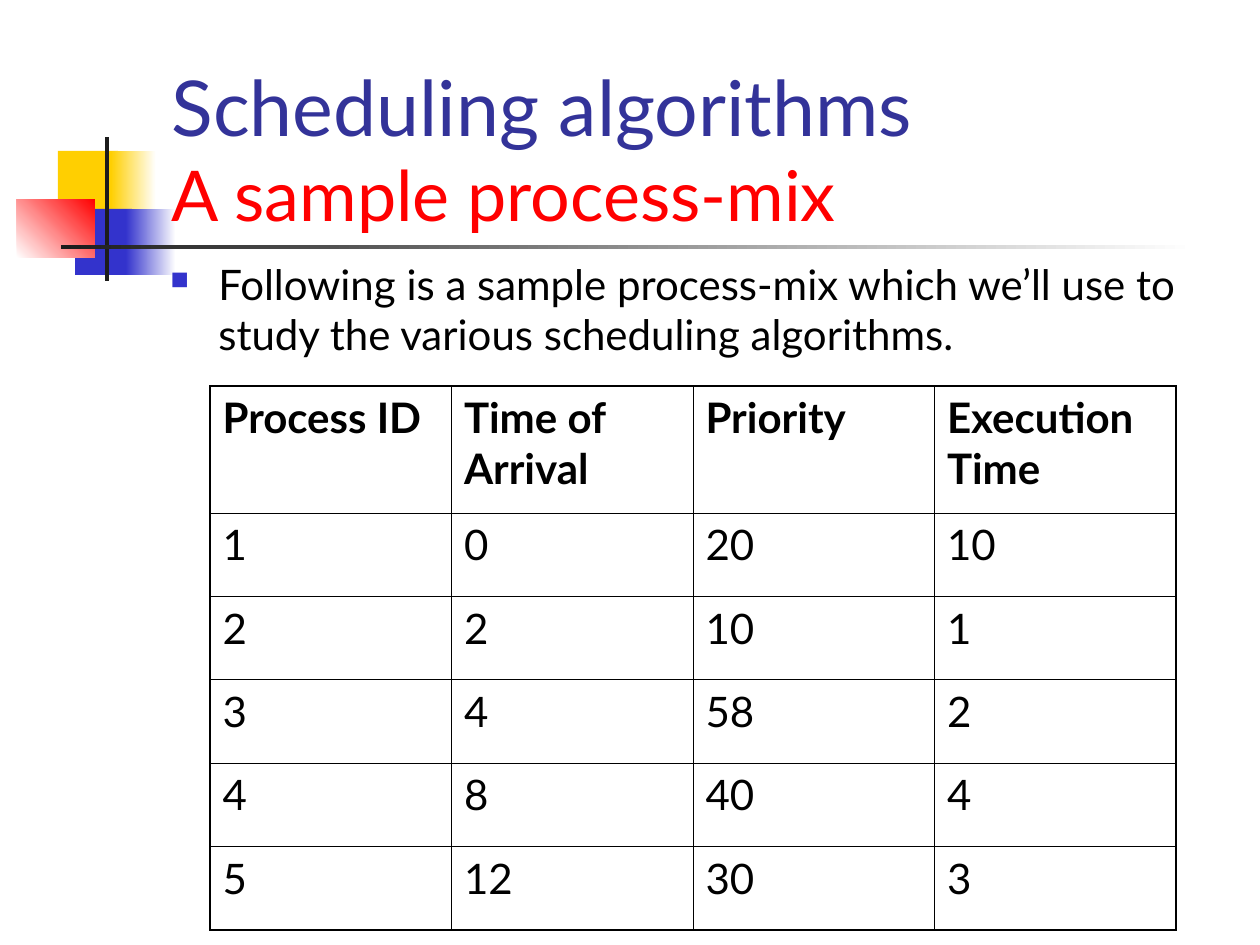
"""Builds the slide on scheduling algorithms with its sample process table."""
import lxml.etree
import pptx
import pptx.dml.color
import pptx.enum.shapes
import pptx.enum.text
import pptx.oxml
import pptx.oxml.ns
import pptx.util

COLORS = {
    "white": "FFFFFF", "black": "000000", "ink": "1C1C1C", "yellow": "FFCF01",
    "blue": "3333CC", "title": "333399", "red": "FF0000",
}
TITLE = [("Scheduling algorithms", 44, "title"), ("A sample process-mix", 40, "red")]
BODY = ("Following is a sample process-mix which we’ll use to "
        "study the various scheduling algorithms.")
BLOCKS = [
    (58, 151, 60, 66, ["yellow"], 0),
    (111, 151, 45, 66, ["yellow", "white"], 0),
    (75, 209, 57, 66, ["blue"], 0),
    (126, 209, 50, 66, ["blue", "white"], 0),
    (17, 199, 78, 59, ["white", "red"], 45),
    (105, 137, 4, 144, ["ink"], 0),
    (61, 245, 1134, 4, ["ink", "white"], 0),
]
PROCESSES = [
    ["Process ID", "Time of Arrival", "Priority", "Execution Time"],
    [1, 0, 20, 10],
    [2, 2, 10, 1],
    [3, 4, 58, 2],
    [4, 8, 40, 4],
    [5, 12, 30, 3],
]


def px(n):
    return round(n * 914400 / 126)


def rgb(name):
    return pptx.dml.color.RGBColor.from_string(COLORS[name])


class SlideBuilder:
    font = "Lato"
    size = 24
    thin, thick = 0.45, 1.08

    def __init__(self, prs):
        self.s = prs.slides.add_slide(prs.slide_layouts[5])

    def style(self, r, size, color, bold=False):
        r.font.name = self.font
        r.font.size = pptx.util.Pt(size)
        r.font.bold = bold
        r.font.color.rgb = rgb(color)

    def block(self, x, y, w, h, colors, angle):
        sp = self.s.shapes.add_shape(
            pptx.enum.shapes.MSO_SHAPE.RECTANGLE, px(x), px(y), px(w), px(h))
        sp.shadow.inherit = False
        sp.line.fill.background()
        if len(colors) == 1:
            sp.fill.solid()
            sp.fill.fore_color.rgb = rgb(colors[0])
            return
        sp.fill.gradient()
        sp.fill.gradient_angle = angle
        for stop, color, position in zip(sp.fill.gradient_stops, colors, (0, 1)):
            stop.color.rgb = rgb(color)
            stop.position = position

    def title(self, x, y, w, h, lines):
        sp = self.s.shapes.title
        self.s.shapes._spTree.append(sp._element)
        sp.left, sp.top, sp.width, sp.height = px(x), px(y), px(w), px(h)
        tf = sp.text_frame
        tf.text = "\v".join(text for text, _, _ in lines)
        tf.auto_size = pptx.enum.text.MSO_AUTO_SIZE.NONE
        tf.vertical_anchor = pptx.enum.text.MSO_ANCHOR.BOTTOM
        p = tf.paragraphs[0]
        p.alignment = pptx.enum.text.PP_ALIGN.LEFT
        for r, (_, size, color) in zip(p.runs, lines):
            self.style(r, size, color)

    def bullet(self, x, y, w, h, text, indent):
        tf = self.s.shapes.add_textbox(px(x), px(y), px(w), px(h)).text_frame
        tf.word_wrap = True
        tf.text = text
        p = tf.paragraphs[0]
        p.space_before = pptx.util.Pt(6)
        self.style(p.runs[0], self.size, "black")
        pPr = p._p.get_or_add_pPr()
        pPr.set("marL", str(px(indent)))
        pPr.set("indent", str(-px(indent)))
        ns = pptx.oxml.ns.nsdecls("a")
        for xml in (f'<a:buClr {ns}><a:srgbClr val="{COLORS["blue"]}"/></a:buClr>',
                    f'<a:buSzPct {ns} val="60000"/>',
                    f'<a:buChar {ns} char="■"/>'):
            pPr.append(pptx.oxml.parse_xml(xml))

    def borders(self, cell, widths):
        tcPr = cell._tc.get_or_add_tcPr()
        for i, (side, width) in enumerate(zip("LRTB", widths)):
            tcPr.insert(i, pptx.oxml.parse_xml(
                f'<a:ln{side} {pptx.oxml.ns.nsdecls("a")} w="{pptx.util.Pt(width)}">'
                f'<a:solidFill><a:srgbClr val="{COLORS["black"]}"/></a:solidFill>'
                f'</a:ln{side}>'))

    def table(self, x, y, w, h, header, rows):
        n_rows, n_cols = len(rows), len(rows[0])
        tbl = self.s.shapes.add_table(n_rows, n_cols, px(x), px(y), px(w), px(h)).table
        tbl.first_row = tbl.horz_banding = False
        for i, row in enumerate(rows):
            tbl.rows[i].height = px((h - header) / (n_rows - 1) if i else header)
            for j, value in enumerate(row):
                cell = tbl.cell(i, j)
                cell.text_frame.text = str(value)
                p = cell.text_frame.paragraphs[0]
                p.space_before = pptx.util.Pt(6)
                self.style(p.runs[0], self.size, "black", bold=i == 0)
                cell.fill.background()
                outer = (j == 0, j == n_cols - 1, i == 0, i == n_rows - 1)
                self.borders(cell, [self.thick if edge else self.thin for edge in outer])


def main():
    prs = pptx.Presentation()
    prs.slide_width, prs.slide_height = px(1260), px(945)
    b = SlideBuilder(prs)
    for block in BLOCKS:
        b.block(*block)
    b.title(159, 84, 1074, 158, TITLE)
    b.bullet(158, 252, 1071, 121, BODY, 48)
    b.table(210, 386, 966, 544, 127, PROCESSES)
    prs.save("out.pptx")


if __name__ == "__main__":
    main()
